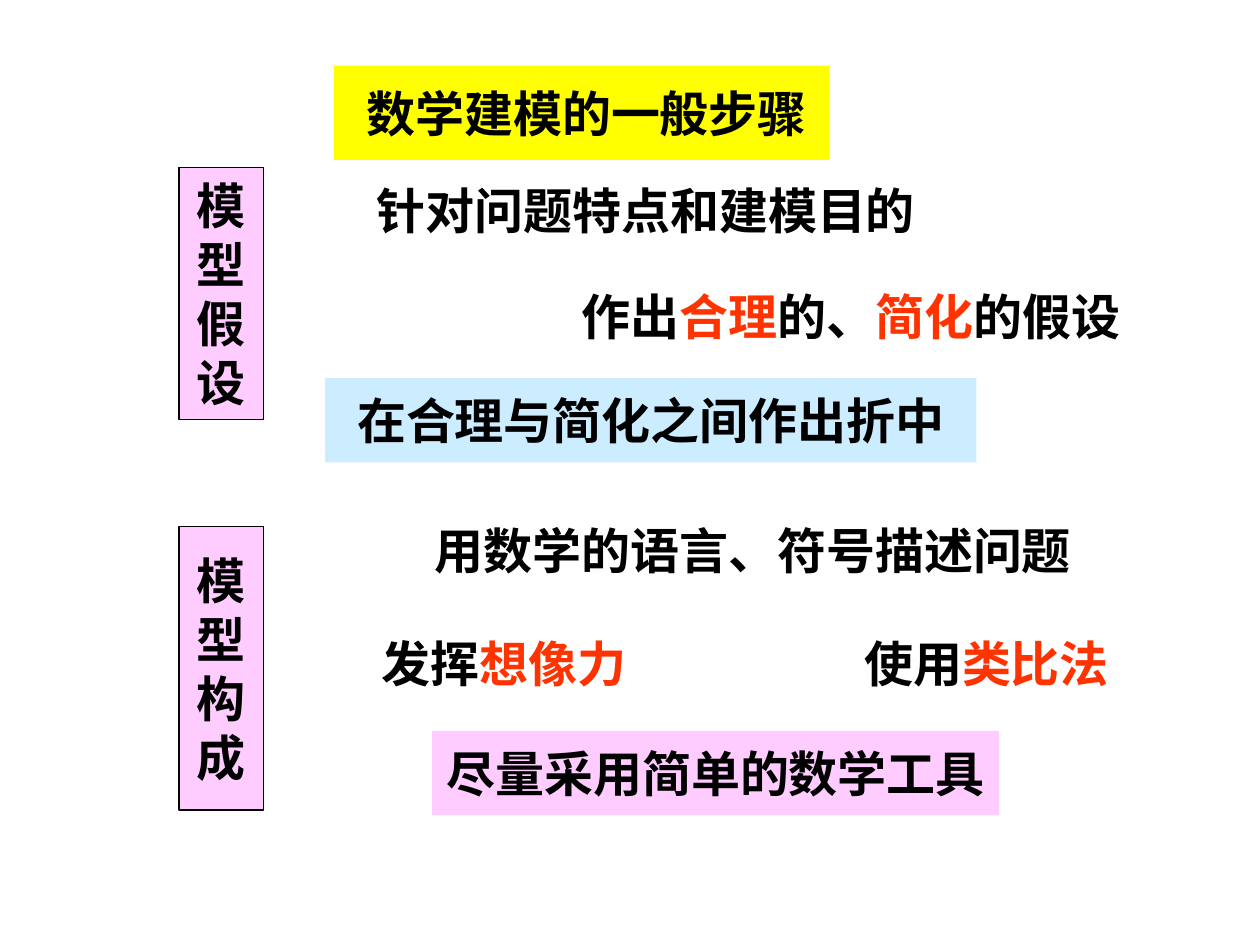
from pptx import Presentation
from pptx.dml.color import RGBColor
from pptx.enum.shapes import MSO_SHAPE
from pptx.enum.text import MSO_ANCHOR, PP_ALIGN
from pptx.util import Inches, Pt

BLACK = "000000"
RED = "FF3300"
PINK = "FFCCFF"
BLUE = "CCECFF"
YELLOW = "FFFF00"


def color(value):
    return RGBColor.from_string(value)


class SlideBuilder:
    font = "Times New Roman"
    title_font = "Noto Sans CJK SC"
    size = Pt(28)

    def __init__(self, page):
        self.page = page

    def format_text(self, box, font):
        frame = box.text_frame
        frame.word_wrap = False
        frame.vertical_anchor = MSO_ANCHOR.MIDDLE
        for para in frame.paragraphs:
            para.alignment = PP_ALIGN.CENTER
            for span in para.runs:
                span.font.name = font
                span.font.size = self.size
                span.font.bold = True
                span.font.color.rgb = color(BLACK)

    def panel(self, text, left, top, width, height, fill, outlined=False, font=font):
        box = self.page.shapes.add_shape(
            MSO_SHAPE.RECTANGLE, Inches(left), Inches(top), Inches(width), Inches(height)
        )
        box.shadow.inherit = False
        box.fill.solid()
        box.fill.fore_color.rgb = color(fill)
        if outlined:
            box.line.color.rgb = color(BLACK)
            box.line.width = Pt(0.75)
        else:
            box.line.fill.background()
        box.text_frame.text = text
        self.format_text(box, font)
        return box

    def title(self, text, left, top, width, height):
        box = self.panel(text, left, top, width, height, YELLOW, font=self.title_font)
        box.text_frame.margin_left = Inches(0.18)

    def stage(self, name, top, height):
        self.panel("\n".join(name), 1.42, top, 0.67, height, PINK, outlined=True)

    def statement(self, parts, left, top, width, height=0.67, highlights=()):
        box = self.page.shapes.add_textbox(
            Inches(left), Inches(top), Inches(width), Inches(height)
        )
        para = box.text_frame.paragraphs[0]
        for part in parts:
            para.add_run().text = part
        self.format_text(box, self.font)
        for span in para.runs:
            if span.text in highlights:
                span.font.color.rgb = color(RED)


def main():
    deck = Presentation()
    deck.slide_width = Inches(10)
    deck.slide_height = Inches(7.5)
    builder = SlideBuilder(deck.slides.add_slide(deck.slide_layouts[6]))

    builder.stage("模型假设", 1.33, 2)
    builder.statement(["针对问题特点和建模目的"], 2.75, 1.33, 4.75)
    builder.statement(
        ["作出", "合理", "的、", "简化", "的假设"], 4.17, 2.17, 5.17,
        highlights=("合理", "简化"),
    )
    builder.panel("在合理与简化之间作出折中", 2.58, 3, 5.17, 0.67, BLUE)

    builder.stage("模型构成", 4.18, 2.25)
    builder.statement(["用数学的语言、符号描述问题"], 3.35, 3.99, 5.25, 0.75)
    for verb, method, left in (("发挥", "想像力", 2.75), ("使用", "类比法", 6.58)):
        builder.statement([verb, method], left, 4.93, 2.5, highlights=(method,))
    builder.panel("尽量采用简单的数学工具", 3.43, 5.8, 4.5, 0.67, PINK)

    builder.title("数学建模的一般步骤", 2.65, 0.52, 3.93, 0.75)
    deck.save("out.pptx")


if __name__ == "__main__":
    main()
